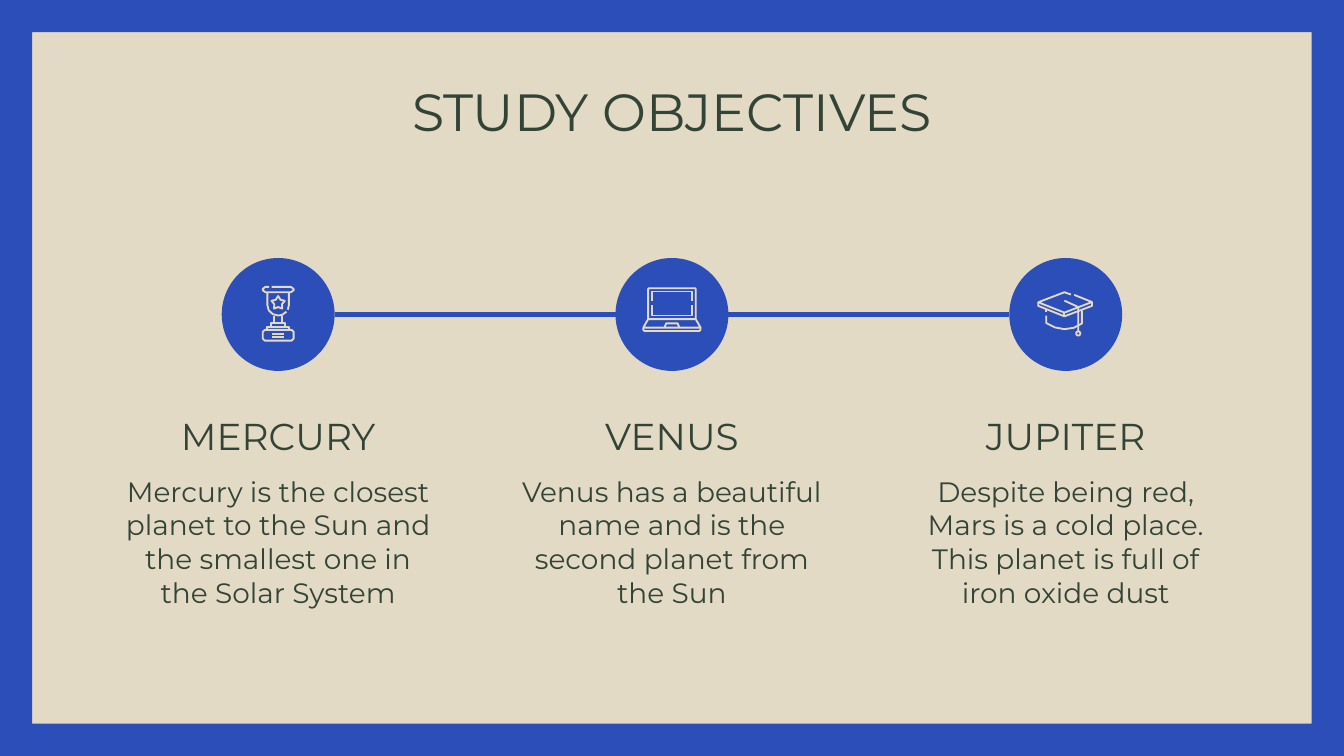
from dataclasses import dataclass
from math import cos, pi, sin
from typing import NamedTuple

from lxml import etree
from pptx import Presentation
from pptx.dml.color import RGBColor
from pptx.enum.shapes import MSO_CONNECTOR, MSO_SHAPE
from pptx.enum.text import MSO_ANCHOR, PP_ALIGN
from pptx.oxml.ns import qn
from pptx.slide import Slide
from pptx.util import Inches, Pt

BLUE = RGBColor(0x2C, 0x4E, 0xB8)
SAND = RGBColor(0xE3, 0xDA, 0xC5)
GREEN = RGBColor(0x33, 0x44, 0x36)
FONT = "Montserrat"
FRAME, OVAL = MSO_SHAPE.FRAME, MSO_SHAPE.OVAL
STRAIGHT = MSO_CONNECTOR.STRAIGHT
TOP, MIDDLE = MSO_ANCHOR.TOP, MSO_ANCHOR.MIDDLE
CENTER = PP_ALIGN.CENTER

WIDTH = 10
HEIGHT = WIDTH * 9 / 16
BORDER = 0.24
PITCH = 2.93
CIRCLE = 0.84
CIRCLE_Y = 2.34
COLUMN_WIDTH = 2.56

Point = tuple[float, float]


class Stroke(NamedTuple):
    """Icon line, in hundredths of an inch from the circle's centre."""
    points: list[Point]
    closed: bool = False


@dataclass
class Objective:
    heading: str
    description: str
    icon: list[Stroke]


def box(left: float, top: float, right: float, bottom: float, cut: float = 0) -> Stroke:
    """Rectangle whose corners are cut off by the given length."""
    if not cut:
        return Stroke([(left, top), (right, top), (right, bottom), (left, bottom)], True)
    return Stroke([
        (left + cut, top), (right - cut, top), (right, top + cut), (right, bottom - cut),
        (right - cut, bottom), (left + cut, bottom), (left, bottom - cut), (left, top + cut),
    ], True)


def radial(x: float, y: float, outer: float, inner: float, corners: int = 10) -> Stroke:
    """Closed outline that alternates between two radii."""
    radii = [(outer, inner)[i % 2] for i in range(corners)]
    angles = [2 * pi * i / corners - pi / 2 for i in range(corners)]
    return Stroke([(x + r * cos(a), y + r * sin(a)) for r, a in zip(radii, angles)], True)


TROPHY = [
    Stroke([(-4.8, -20.5), (9.5, -20.5), (11.5, -19), (11.5, -18), (9.5, -16.5),
            (-9.5, -16.5), (-11.5, -18), (-11.5, -19), (-9.5, -20.5), (-6.8, -20.5)]),
    Stroke([(8, -16.5), (8, -7), (7.2, -3.5)]),
    Stroke([(6.2, -2), (3, 0.3), (0, 0.8), (-4, -0.2), (-7, -3), (-8, -7), (-8, -16.5)]),
    radial(0, -8.5, 5.2, 3),
    Stroke([(-2.8, 1), (-2.8, 6.4)]),
    Stroke([(2.8, 1), (2.8, 6.4)]),
    box(-5.3, 6.4, 5.3, 9.4),
    box(-8.3, 9.4, 8.3, 11.5),
    box(-11.5, 11.5, 11.5, 19.5, 1.5),
    Stroke([(-4.5, 14.5), (4.5, 14.5)]),
    Stroke([(-4.5, 17), (4.5, 17)]),
]
LAPTOP = [
    box(-17.7, -19.5, 17.7, 3.5, 0.5),
    Stroke([(-15, -10), (-15, -17), (15, -17), (15, -10)]),
    Stroke([(-15, -7), (-15, 0.8), (15, 0.8), (15, -7)]),
    Stroke([(-17.7, 3.5), (-21.3, 9.8), (21.3, 9.8), (17.7, 3.5)]),
    Stroke([(-5.5, 9.8), (-4.3, 6.7), (4.3, 6.7), (5.5, 9.8)]),
    Stroke([(-21.3, 9.8), (-21.3, 11.5), (-20.5, 12.3),
            (20.5, 12.3), (21.3, 11.5), (21.3, 9.8)]),
]
GRADUATION_CAP = [
    Stroke([(3.8, -14.8), (-1, -16.5), (-20.5, -9), (-1, -1.3), (19.5, -9.2), (6.3, -14.5)]),
    Stroke([(-20.5, -9), (-20.5, -6.3), (-1, 1.5), (19.5, -6.3), (19.5, -9.2)]),
    Stroke([(-1, -1.3), (-1, 1.5)]),
    Stroke([(-1, -10.2), (9.3, -5.5), (9.3, 12.6)]),
    radial(9.3, 14.2, 1.6, 1.6),
    Stroke([(-14.5, -3.8), (-14.5, -1.5)]),
    Stroke([(-14.5, 1), (-14.5, 6.5), (-8, 9.7), (-1, 11), (6, 10), (12, 6.8), (12, -3)]),
]

OBJECTIVES = [
    Objective("MERCURY", "Mercury is the closest planet to the Sun and the smallest one "
              "in the Solar System", TROPHY),
    Objective("VENUS", "Venus has a beautiful name and is the second planet from the Sun",
              LAPTOP),
    Objective("JUPITER", "Despite being red, Mars is a cold place. This planet is full of "
              "iron oxide dust", GRADUATION_CAP),
]


def add_text(slide: Slide, text: str, center: float, top: float, width: float,
             height: float, size: float, anchor: MSO_ANCHOR = TOP) -> None:
    frame = slide.shapes.add_textbox(
        Inches(center - width / 2), Inches(top), Inches(width), Inches(height)).text_frame
    frame.word_wrap = True
    frame.vertical_anchor = anchor
    frame.margin_left = frame.margin_right = Inches(0.1)
    frame.margin_top = frame.margin_bottom = Inches(0.1)
    paragraph = frame.paragraphs[0]
    paragraph.text = text
    paragraph.alignment = CENTER
    paragraph.font.name = FONT
    paragraph.font.size = Pt(size)
    paragraph.font.color.rgb = GREEN


def add_blue_shape(slide: Slide, kind: MSO_SHAPE, left: float, top: float,
                   width: float, height: float):
    shape = slide.shapes.add_shape(
        kind, Inches(left), Inches(top), Inches(width), Inches(height))
    shape.shadow.inherit = False
    shape.fill.solid()
    shape.fill.fore_color.rgb = BLUE
    shape.line.fill.background()
    return shape


def add_link(slide: Slide, start: float, end: float) -> None:
    link = slide.shapes.add_connector(
        STRAIGHT, Inches(start), Inches(CIRCLE_Y), Inches(end), Inches(CIRCLE_Y))
    link.line.color.rgb = BLUE
    link.line.width = Pt(3)
    etree.SubElement(link._element.spPr, qn("a:effectLst"))


def add_icon(slide: Slide, strokes: list[Stroke], center: float) -> None:
    def place(point: Point) -> Point:
        return Inches(center + point[0] / 100), Inches(CIRCLE_Y + point[1] / 100)

    builder = slide.shapes.build_freeform(*place(strokes[0].points[0]))
    for index, stroke in enumerate(strokes):
        first, *rest = map(place, stroke.points)
        if index:
            builder.move_to(*first)
        builder.add_line_segments(rest, close=stroke.closed)
    icon = builder.convert_to_shape()
    icon.shadow.inherit = False
    icon.fill.background()
    icon.line.color.rgb = SAND
    icon.line.width = Pt(1)


def main() -> None:
    presentation = Presentation()
    presentation.slide_width, presentation.slide_height = Inches(WIDTH), Inches(HEIGHT)
    slide = presentation.slides.add_slide(presentation.slide_layouts[6])
    slide.background.fill.solid()
    slide.background.fill.fore_color.rgb = SAND

    border = add_blue_shape(slide, FRAME, 0, 0, WIDTH, HEIGHT)
    border.adjustments[0] = BORDER / HEIGHT
    add_text(slide, "STUDY OBJECTIVES", WIDTH / 2, 0.49, 8.43, 0.63, 28)

    for column, objective in enumerate(OBJECTIVES):
        center = WIDTH / 2 + (column - 1) * PITCH
        radius = CIRCLE / 2
        add_text(slide, objective.heading, center, 2.95, COLUMN_WIDTH, 0.58, 20, MIDDLE)
        add_text(slide, objective.description, center, 3.43, COLUMN_WIDTH, 1.19, 15)
        add_blue_shape(slide, OVAL, center - radius, CIRCLE_Y - radius, CIRCLE, CIRCLE)
        add_icon(slide, objective.icon, center)
        if column:
            add_link(slide, center - PITCH + radius, center - radius)

    presentation.save("out.pptx")


if __name__ == "__main__":
    main()
